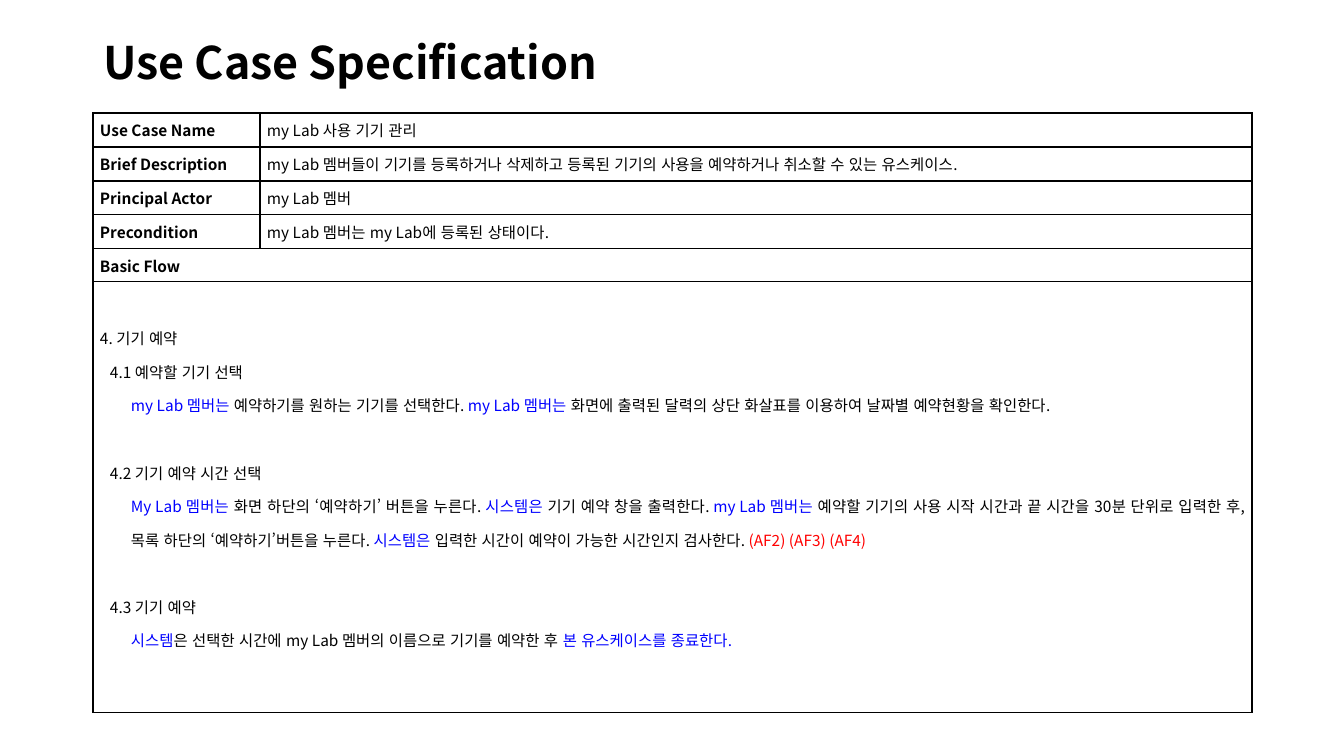
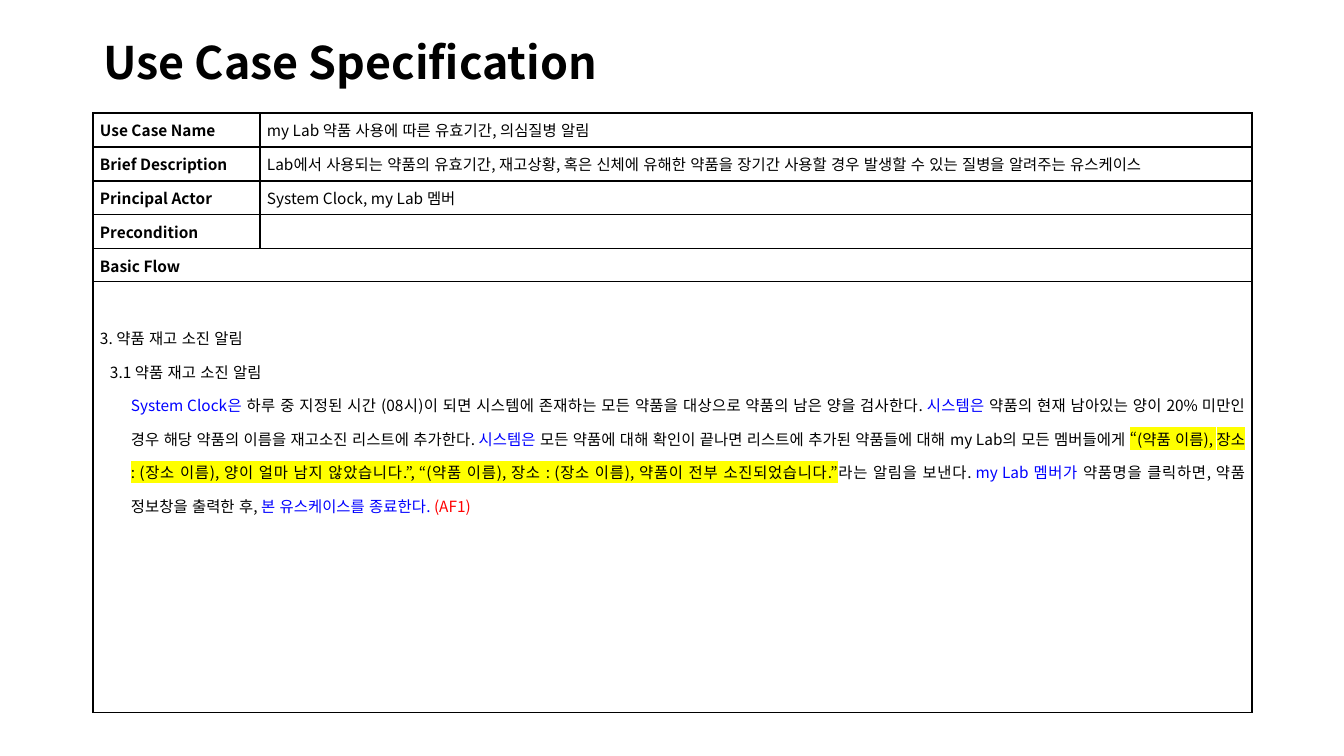
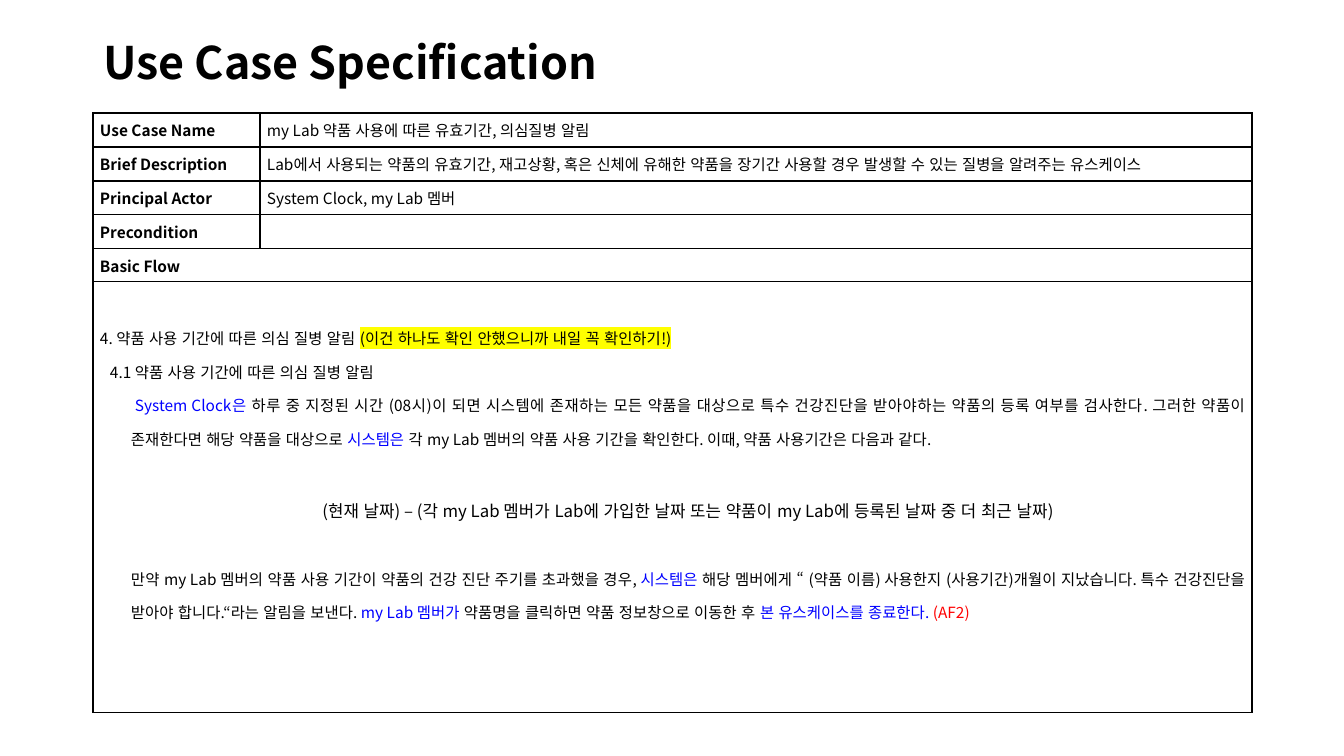
from lxml.etree import SubElement as Sub
from pptx import Presentation
from pptx.dml.color import RGBColor as Rgb
from pptx.enum.lang import MSO_LANGUAGE_ID as Lang
from pptx.enum.text import MSO_ANCHOR as Anchor, MSO_AUTO_SIZE as Fit, PP_ALIGN as Align
from pptx.oxml.ns import qn
from pptx.util import Emu, Pt

# Shared look
SCALE = 914400 / 100.8
FONT = "Noto Sans CJK KR"
HUES = {"ink": "000000", "actor": "0000FF", "alt": "FF0000",
        "mark": "FFFF00", "paper": "FFFFFF"}
TITLE = "Use Case Specification"
HEADS = ["Use Case Name", "Brief Description", "Principal Actor", "Precondition"]
FLOW = "Basic Flow"
TITLE_BOX = (93, 40, 1159, 50)
GRID_BOX = (93, 113, 1159, 600)
HEAD_W, ROWS = 167, [34, 34, 34, 34, 33]
PAD, FLOW_TOP = 7, 34

# Paragraph kinds of the flow: left indent and first line in pixels
KINDS = {
    "step": {"left": 0},
    "sub": {"left": 10},
    "next": {"left": 10, "before": 24},
    "body": {"left": 31},
    "lead": {"left": 31, "first": 4},
    "sum": {"left": 31, "before": 26, "size": 12, "align": Align.CENTER},
    "more": {"left": 31, "before": 24},
}


def px(n):
    return Emu(round(n * SCALE))


def put(obj, vals):
    for key, val in vals.items():
        setattr(obj, key, val)


def place(obj, box):
    put(obj, dict(zip(("left", "top", "width", "height"), map(px, box))))


def add_run(para, text, size, bold=False, hue="ink"):
    run = para.add_run()
    run.text = text
    put(run.font, {"size": Pt(size), "bold": bold, "name": FONT,
                   "language_id": Lang.KOREAN})
    run.font.color.rgb = Rgb.from_string(HUES["ink" if hue == "mark" else hue])
    props = run.font._element
    Sub(props, qn("a:ea"), typeface=FONT)
    if hue == "mark":
        mark = Sub(props, qn("a:highlight"))
        Sub(mark, qn("a:srgbClr"), val=HUES["mark"])
        props.find(qn("a:latin")).addprevious(mark)


def add_title(slide, box):
    shape = slide.shapes.title
    place(shape, box)
    frame = shape.text_frame
    put(frame, {"vertical_anchor": Anchor.MIDDLE, "word_wrap": True,
                "auto_size": Fit.NONE})
    para = frame.paragraphs[0]
    put(para, {"alignment": Align.LEFT, "line_spacing": 0.9})
    add_run(para, TITLE, 32, True)


def style_cell(cell):
    put(cell, {"margin_left": px(PAD), "margin_right": px(PAD), "margin_top": 0,
               "margin_bottom": 0, "vertical_anchor": Anchor.MIDDLE})
    props = cell._tc.get_or_add_tcPr()
    for side in "LRTB":
        line = Sub(props, qn("a:ln" + side), w=str(Pt(1)))
        Sub(Sub(line, qn("a:solidFill")), qn("a:srgbClr"), val=HUES["ink"])
    cell.fill.background()


def fill_cell(cell, text, bold=False):
    para = cell.text_frame.paragraphs[0]
    para.alignment = Align.JUSTIFY
    if text:
        add_run(para, text, 11, bold)
    else:
        Sub(para._p, qn("a:endParaRPr"), sz="1100")


def fill_flow(cell, flow):
    put(cell, {"margin_top": px(FLOW_TOP), "vertical_anchor": Anchor.TOP})
    frame = cell.text_frame
    for i, (kind, *runs) in enumerate(flow):
        look = KINDS[kind]
        para = frame.add_paragraph() if i else frame.paragraphs[0]
        put(para, {"alignment": look.get("align", Align.JUSTIFY),
                   "line_spacing": 1.5, "space_before": Pt(look.get("before", 0))})
        props = para._p.get_or_add_pPr()
        props.set("marL", str(px(look["left"])))
        props.set("indent", str(px(look.get("first", 0))))
        for run in runs:
            hue, text = ("ink", run) if isinstance(run, str) else run
            add_run(para, text, look.get("size", 11), hue=hue)


def add_grid(slide, box, facts, flow):
    high = ROWS + [box[3] - sum(ROWS)]
    table = slide.shapes.add_table(len(high), 2, *map(px, box)).table
    put(table, {"first_row": False, "horz_banding": False})
    for col, wide in zip(table.columns, (HEAD_W, box[2] - HEAD_W)):
        col.width = px(wide)
    for row, tall in zip(table.rows, high):
        row.height = px(tall)
    for cell in table.iter_cells():
        style_cell(cell)
    # Fact rows
    for r, pair in enumerate(zip(HEADS, facts)):
        for c, text in enumerate(pair):
            fill_cell(table.cell(r, c), text, c == 0)
    # Full-width rows
    for r in (4, 5):
        fill_cell(table.cell(r, 1), "")
        table.cell(r, 0).merge(table.cell(r, 1))
    fill_cell(table.cell(4, 0), FLOW, True)
    fill_flow(table.cell(5, 0), flow)


def add_case(deck, facts, flow):
    slide = deck.slides.add_slide(deck.slide_layouts[5])
    slide.background.fill.solid()
    slide.background.fill.fore_color.rgb = Rgb.from_string(HUES["paper"])
    add_title(slide, TITLE_BOX)
    add_grid(slide, GRID_BOX, facts, flow)


# Wording that recurs
USER = ("actor", "my Lab 멤버는 ")
USER_GA = ("actor", "my Lab 멤버가 ")
SYSTEM = ("actor", "시스템은")
CLOCK = ("actor", "System Clock은 ")
DONE = ("actor", "본 유스케이스를 종료한다. ")
DAILY = "하루 중 지정된 시간 (08시)이 되면 시스템에 존재하는 모든 약품을 대상으로 "

# Facts and flow of each use case
DEVICE = ["my Lab 사용 기기 관리",
          "my Lab 멤버들이 기기를 등록하거나 삭제하고 등록된 기기의 사용을 "
          "예약하거나 취소할 수 있는 유스케이스.",
          "my Lab 멤버",
          "my Lab 멤버는 my Lab에 등록된 상태이다."]
DRUG = ["my Lab 약품 사용에 따른 유효기간, 의심질병 알림",
        "Lab에서 사용되는 약품의 유효기간, 재고상황, 혹은 신체에 유해한 약품을 "
        "장기간 사용할 경우 발생할 수 있는 질병을 알려주는 유스케이스",
        "System Clock, my Lab 멤버",
        ""]
BOOK = [
    ("step", "4. 기기 예약"),
    ("sub", "4.1 예약할 기기 선택"),
    ("body", USER, "예약하기를 원하는 기기를 선택한다. ", USER,
     "화면에 출력된 달력의 상단 화살표를 이용하여 날짜별 예약현황을 확인한다. "),
    ("next", "4.2 기기 예약 시간 선택"),
    ("body", ("actor", "My Lab 멤버는"), " 화면 하단의 ‘예약하기’ 버튼을 누른다. ",
     SYSTEM, " 기기 예약 창을 출력한다. ", USER,
     "예약할 기기의 사용 시작 시간과 끝 시간을 30분 단위로 입력한 후, "
     "목록 하단의 ‘예약하기’버튼을 누른다. ",
     SYSTEM, " 입력한 시간이 예약이 가능한 시간인지 검사한다. ",
     ("alt", "(AF2) (AF3) (AF4)")),
    ("next", "4.3 기기 예약"),
    ("body", ("actor", "시스템"),
     "은 선택한 시간에 my Lab 멤버의 이름으로 기기를 예약한 후 ", DONE),
]
STOCK = [
    ("step", "3. 약품 재고 소진 알림"),
    ("sub", "3.1 약품 재고 소진 알림"),
    ("body", CLOCK, DAILY + "약품의 남은 양을 검사한다. ", SYSTEM,
     " 약품의 현재 남아있는 양이 20% 미만인 경우 해당 약품의 이름을 "
     "재고소진 리스트에 추가한다. ", SYSTEM,
     " 모든 약품에 대해 확인이 끝나면 리스트에 추가된 약품들에 대해 "
     "my Lab의 모든 멤버들에게 ",
     ("mark", "“(약품 이름), 장소 : (장소 이름), 양이 얼마 남지 않았습니다.”, "
              "“(약품 이름), 장소 : (장소 이름), 약품이 전부 소진되었습니다.”"),
     "라는 알림을 보낸다. ", USER_GA,
     "약품명을 클릭하면, 약품 정보창을 출력한 후, ", DONE, ("alt", "(AF1)")),
]
ILLNESS = [
    ("step", "4. 약품 사용 기간에 따른 의심 질병 알림 ",
     ("mark", "(이건 하나도 확인 안했으니까 내일 꼭 확인하기!)")),
    ("sub", "4.1 약품 사용 기간에 따른 의심 질병 알림"),
    ("lead", CLOCK,
     DAILY + "특수 건강진단을 받아야하는 약품의 등록 여부를 검사한다. "
     "그러한 약품이 존재한다면 해당 약품을 대상으로 ", SYSTEM,
     " 각 my Lab 멤버의 약품 사용 기간을 확인한다. 이때, 약품 사용기간은 다음과 같다."),
    ("sum", "(현재 날짜) – (각 my Lab 멤버가 Lab에 가입한 날짜 또는 약품이 "
            "my Lab에 등록된 날짜 중 더 최근 날짜)"),
    ("more", "만약 my Lab 멤버의 약품 사용 기간이 약품의 건강 진단 주기를 초과했을 경우, ",
     SYSTEM, " 해당 멤버에게 “ (약품 이름) 사용한지 (사용기간)개월이 지났습니다. "
     "특수 건강진단을 받아야 합니다.“라는 알림을 보낸다. ", USER_GA,
     "약품명을 클릭하면 약품 정보창으로 이동한 후 ", DONE, ("alt", "(AF2)")),
]

deck = Presentation()
put(deck, {"slide_width": px(1344), "slide_height": px(756)})
for facts, flow in ((DEVICE, BOOK), (DRUG, STOCK), (DRUG, ILLNESS)):
    add_case(deck, facts, flow)
deck.save("out.pptx")
